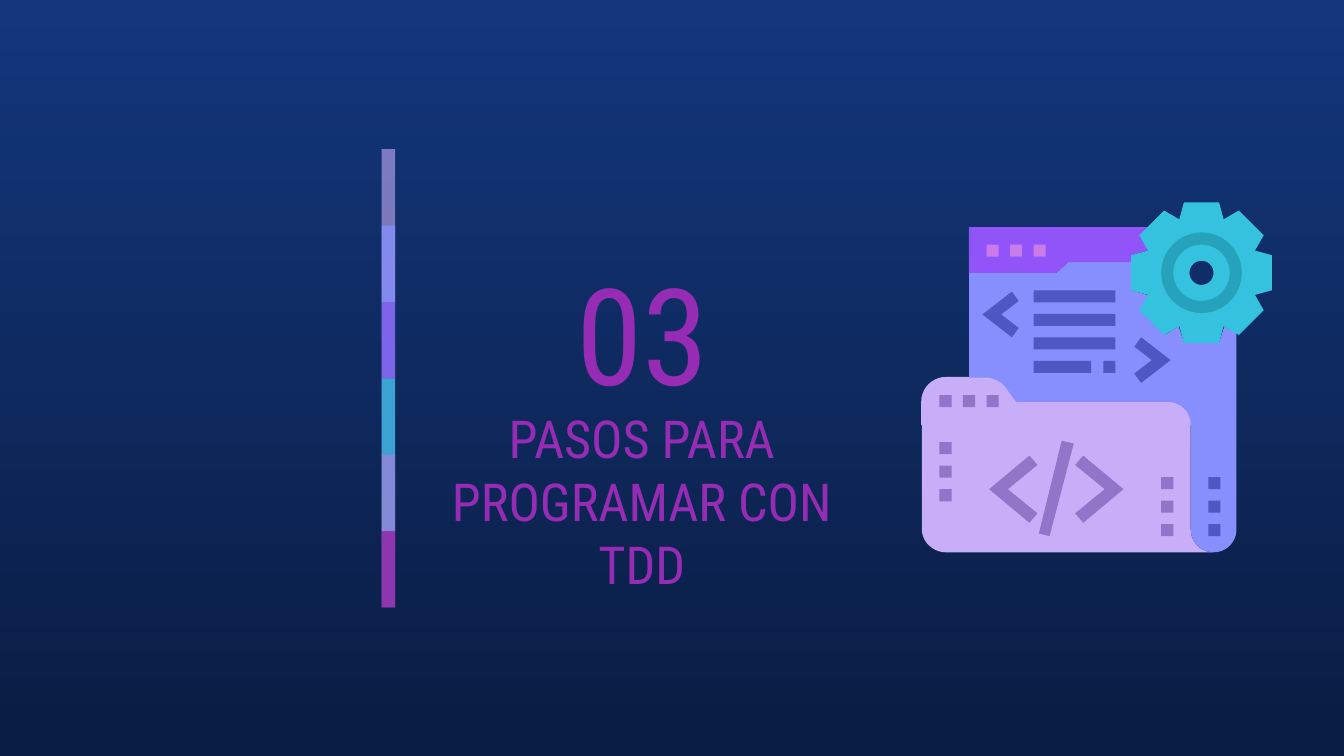
"""Build the section slide for part 03, steps for programming with TDD."""
import math

import lxml.etree
import pptx
import pptx.dml.color
import pptx.enum.shapes
import pptx.enum.text
import pptx.oxml.ns
import pptx.util

COLORS = {
    "sky": "13367C", "night": "0A1D42", "purple": "972CB4", "lilac": "C8AEF8",
    "blue": "878FFF", "violet": "9154F8", "cyan": "35C2DF", "teal": "26A2BC",
    "pink": "CA7BEB", "plum": "9275C8", "indigo": "4F57C3",
}
KINDS = pptx.enum.shapes.MSO_SHAPE
Inches = pptx.util.Inches


def paint(shape, color):
    shape.shadow.inherit = False
    shape.fill.solid()
    shape.fill.fore_color.rgb = pptx.dml.color.RGBColor.from_string(COLORS[color])
    shape.line.fill.background()
    return shape


def draw_outline(shapes, color, *contours):
    """Draw contours whose steps are points (2 numbers) or Bezier curves (6 numbers)."""
    builder = None
    for contour in contours:
        points = [contour[0]]
        for step in contour[1:]:
            if len(step) == 2:
                points.append(step)
                continue
            knots = [points[-1], step[:2], step[2:4], step[4:]]
            for t in [n / 10 for n in range(1, 11)]:
                weights = [math.comb(3, k) * t**k * (1 - t) ** (3 - k) for k in range(4)]
                points.append([sum(w * knot[axis] for w, knot in zip(weights, knots))
                               for axis in (0, 1)])
        points = [(Inches(x), Inches(y)) for x, y in points]
        if builder is None:
            builder = shapes.build_freeform(*points[0])
        else:
            builder.move_to(*points[0])
        builder.add_line_segments(points[1:], close=True)
    return paint(builder.convert_to_shape(), color)


deck = pptx.Presentation()
deck.slide_width = Inches(10)
deck.slide_height = deck.slide_width * 9 // 16
page = deck.slides.add_slide(deck.slide_layouts[0])

backdrop = page.background.fill
backdrop.gradient()
backdrop.gradient_angle = 270
for stop, color, position in zip(backdrop.gradient_stops, ("sky", "night"), (0, 1)):
    stop.color.rgb = pptx.dml.color.RGBColor.from_string(COLORS[color])
    stop.position = position

number, heading = page.placeholders[1], page.shapes.title
for box, text, size, area in [
    (number, "03", 72, (3.91, 1.79, 1.75, 1.35)),
    (heading, "PASOS PARA PROGRAMAR CON TDD", 28, (3.15, 3.1, 3.25, 1.25)),
]:
    box.left, box.top, box.width, box.height = [Inches(v) for v in area]
    frame = box.text_frame
    frame.text = text
    frame.word_wrap = True
    frame.auto_size = pptx.enum.text.MSO_AUTO_SIZE.NONE
    frame.vertical_anchor = pptx.enum.text.MSO_ANCHOR.MIDDLE
    frame.margin_left = frame.margin_right = Inches(0.1)
    frame.margin_top = frame.margin_bottom = Inches(0.1)
    para = frame.paragraphs[0]
    para.alignment = pptx.enum.text.PP_ALIGN.CENTER
    para.space_before = pptx.util.Pt(0)
    span = para.runs[0]
    span.font.size = pptx.util.Pt(size)
    span.font.name = "Roboto Condensed"
    span.font.color.rgb = pptx.dml.color.RGBColor.from_string(COLORS["purple"])

stripes = page.shapes.add_group_shape().shapes
stripe_step = 3.41 / 6
for row, (color, opacity) in enumerate([
    ("lilac", 59), ("blue", 74), ("violet", 53), ("cyan", 76), ("pink", 56), ("purple", 74),
]):
    height = stripe_step * (1 if row == 5 else 2)
    stripe = paint(stripes.add_shape(
        KINDS.RECTANGLE, Inches(2.84), Inches(1.11 + row * stripe_step),
        Inches(0.1), Inches(height)), color)
    tint = stripe.fill._xPr.find(".//" + pptx.oxml.ns.qn("a:srgbClr"))
    lxml.etree.SubElement(tint, pptx.oxml.ns.qn("a:alpha"), val=str(opacity * 1000))

icon = page.shapes.add_group_shape().shapes
draw_outline(icon, "lilac", [
    (6.86, 3.16), (6.86, 3.94), (6.86, 4.03, 6.94, 4.11, 7.04, 4.11), (9.03, 4.11),
    (8.93, 4.11, 8.86, 4.03, 8.86, 3.94), (8.86, 3.16)])
folder_tab = draw_outline(icon, "lilac", [
    (7.04, 2.81), (6.94, 2.81, 6.86, 2.89, 6.86, 2.99), (6.86, 3.16), (8.86, 3.16),
    (8.86, 3.06, 8.78, 2.99, 8.68, 2.99), (7.56, 2.99), (7.48, 2.88),
    (7.45, 2.84, 7.39, 2.81, 7.34, 2.81)])
folder_tab.line.color.rgb = pptx.dml.color.RGBColor.from_string(COLORS["lilac"])
folder_tab.line.width = pptx.util.Pt(0.75)
draw_outline(icon, "blue", [
    (7.95, 1.95), (7.86, 2.03), (7.21, 2.03), (7.21, 2.81), (7.34, 2.81),
    (7.39, 2.81, 7.45, 2.84, 7.48, 2.88), (7.56, 2.99), (8.68, 2.99),
    (8.78, 2.99, 8.86, 3.06, 8.86, 3.16), (8.86, 3.94),
    (8.86, 4.03, 8.93, 4.11, 9.03, 4.11), (9.13, 4.11, 9.2, 4.03, 9.2, 3.94),
    (9.2, 2.48), (9.11, 2.43), (9.07, 2.55), (8.81, 2.55), (8.77, 2.43), (8.67, 2.49),
    (8.48, 2.31), (8.55, 2.2), (8.42, 2.16), (8.42, 1.95)])
draw_outline(icon, "violet", [
    (7.21, 1.69), (7.21, 2.03), (7.86, 2.03), (7.95, 1.95), (8.42, 1.95), (8.42, 1.9),
    (8.55, 1.86), (8.48, 1.76), (8.55, 1.69)])

gear_x, gear_y = 8.94, 2.03
gear_edge = [
    (gear_x + radius * math.sin(math.radians(tooth * 45 + turn)),
     gear_y - radius * math.cos(math.radians(tooth * 45 + turn)))
    for tooth in range(8) for turn, radius in ((-14, 0.54), (14, 0.54), (22.5, 0.43))]
gear_opening = [
    (gear_x + 0.26 * math.cos(math.radians(angle)), gear_y + 0.26 * math.sin(math.radians(angle)))
    for angle in range(0, 360, 6)]
draw_outline(icon, "cyan", gear_edge, gear_opening)
for color, outer, inner in [("cyan", 0.26, 0.09), ("teal", 0.3, 0.21)]:
    ring = icon.add_shape(KINDS.DONUT, Inches(gear_x - outer), Inches(gear_y - outer),
                          Inches(2 * outer), Inches(2 * outer))
    ring.adjustments[0] = (outer - inner) / (2 * outer)
    paint(ring, color)

square, pitch = 0.09, 0.35 / 2
bars = [("indigo", 7.69, 2.16 + row * pitch, 0.43 if row == 3 else 0.61) for row in range(4)]
bars.append(("indigo", 8.21, 2.16 + 3 * pitch, square))
for color, left, top, across, down in [
    ("pink", 7.34, 1.82, 1, 0), ("plum", 6.99, 2.94, 1, 0), ("plum", 6.99, 3.29, 0, 1),
    ("plum", 8.64, 3.55, 0, 1), ("indigo", 8.99, 3.55, 0, 1),
]:
    bars += [(color, left + n * across * pitch, top + n * down * pitch, square) for n in range(3)]
for color, left, top, width in bars:
    paint(icon.add_shape(KINDS.RECTANGLE, Inches(left), Inches(top),
                         Inches(width), Inches(square)), color)

for color, tip, middle, direction, reach, rise, nick in [
    ("indigo", 7.31, 2.34, 1, 0.22, 0.17, 0.05), ("indigo", 8.71, 2.68, -1, 0.22, 0.17, 0.05),
    ("plum", 7.36, 3.64, 1, 0.3, 0.25, 0.06), ("plum", 8.36, 3.64, -1, 0.3, 0.25, 0.06),
]:
    draw_outline(icon, color, [
        (tip + direction * x, middle + y) for x, y in [
            (0, 0), (reach, -rise), (reach + nick, 0.07 - rise), (0.14, 0),
            (reach + nick, rise - 0.07), (reach, rise)]])
draw_outline(icon, "plum", [(7.9, 3.28), (7.73, 3.97), (7.81, 3.99), (7.99, 3.3)])

deck.save("out.pptx")
